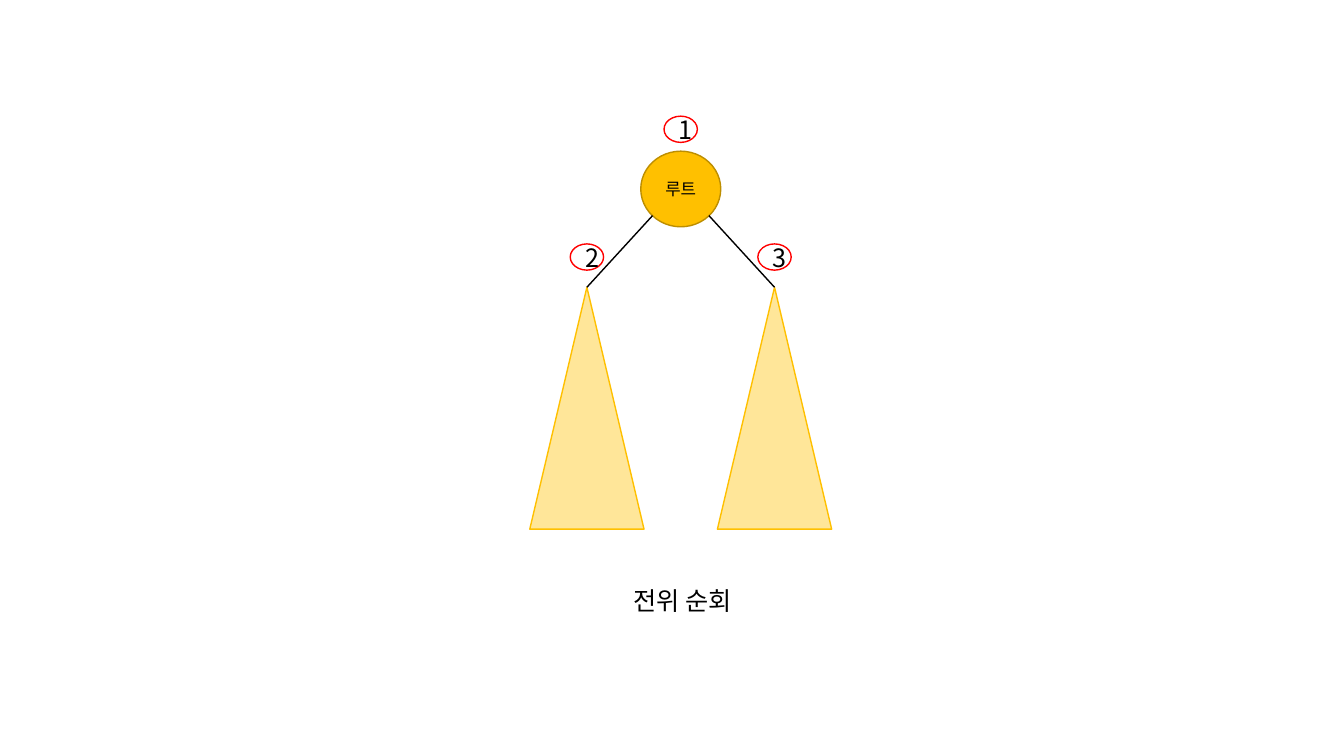
from typing import NamedTuple, Optional

from lxml import etree
from pptx import Presentation
from pptx import util as u
from pptx.dml.color import RGBColor
from pptx.enum import shapes, text
from pptx.oxml import ns

FONT = "Noto Sans CJK KR"
BLACK = RGBColor(0x00, 0x00, 0x00)
RED = RGBColor(0xFF, 0x00, 0x00)
GOLD = RGBColor(0xFF, 0xC0, 0x00)
BRONZE = RGBColor(0xBD, 0x8E, 0x00)
CREAM = RGBColor(0xFF, 0xE6, 0x99)

WIDE, HIGH = u.Inches(13.33), u.Inches(7.5)
CIRCLE = shapes.MSO_SHAPE.FLOWCHART_CONNECTOR
CONE = shapes.MSO_SHAPE.ISOSCELES_TRIANGLE

# The grid has 100 columns and 100 rows.
AXIS = 50.65    # column of the root
SPREAD = 6.98   # columns from the root to each subtree
APEX = 38       # row of the subtree tips
RIM = (2.1, 28.53)  # where a branch leaves the root: offset, row


class Node(NamedTuple):
    """A shape placed by its centre on the grid."""
    kind: shapes.MSO_SHAPE
    x: float
    y: float
    w: float
    h: float
    line: RGBColor
    fill: Optional[RGBColor] = None
    label: str = ""
    size: int = 18


def col(n: float) -> int:
    return round(WIDE * n / 100)


def row(n: float) -> int:
    return round(HIGH * n / 100)


def box(x: float, y: float, w: float, h: float) -> tuple[int, int, int, int]:
    """Turn a centre and size on the grid into left, top, width, height."""
    return col(x - w / 2), row(y - h / 2), col(w), row(h)


def write(frame, label: str, size: int) -> None:
    par = frame.paragraphs[0]
    par.text = label
    par.alignment = text.PP_ALIGN.CENTER
    font = par.font
    font.name, font.size = FONT, u.Pt(size)
    font.color.rgb = BLACK
    props = par.runs[0].font
    props.name = FONT
    latin = par.runs[0]._r.rPr.find(ns.qn("a:latin"))
    asian = etree.Element(ns.qn("a:ea"), typeface=FONT)
    latin.addnext(asian)


def draw(slide, node: Node) -> None:
    shape = slide.shapes.add_shape(
        node.kind, *box(node.x, node.y, node.w, node.h))
    shape.shadow.inherit = False
    shape.line.color.rgb = node.line
    shape.line.width = u.Pt(1)
    if node.fill is None:
        shape.fill.background()
    else:
        shape.fill.solid()
        shape.fill.fore_color.rgb = node.fill
    if node.label:
        shape.text_frame.vertical_anchor = text.MSO_ANCHOR.MIDDLE
        write(shape.text_frame, node.label, node.size)


def branch(slide, side: int) -> None:
    """Join a subtree tip to the root; side is -1 for left, 1 for right."""
    gap, top = RIM
    line = slide.shapes.add_connector(
        shapes.MSO_CONNECTOR.STRAIGHT,
        col(AXIS + side * SPREAD), row(APEX),
        col(AXIS + side * gap), row(top))
    line.line.color.rgb = BLACK
    line.line.width = u.Pt(1)
    etree.SubElement(line._element.spPr, ns.qn("a:effectLst"))


def cone(side: int) -> Node:
    return Node(CONE, AXIS + side * SPREAD, APEX + 16, 8.5, 32, GOLD, CREAM)


def badge(label: str, side: int, y: float) -> Node:
    return Node(CIRCLE, AXIS + side * SPREAD, y, 2.48, 3.47, RED, label=label)


def title(slide, label: str) -> None:
    area = slide.shapes.add_textbox(*box(50.8, 79.5, 28.4, 5.4))
    area.text_frame.word_wrap = True
    area.text_frame.auto_size = text.MSO_AUTO_SIZE.SHAPE_TO_FIT_TEXT
    write(area.text_frame, label, 18)


def main() -> None:
    deck = Presentation()
    deck.slide_width, deck.slide_height = WIDE, HIGH
    slide = deck.slides.add_slide(deck.slide_layouts[6])
    draw(slide, Node(CIRCLE, AXIS, 25, 5.95, 10, BRONZE, GOLD, "루트", 12))
    for side in (-1, 1):
        draw(slide, cone(side))
        branch(slide, side)
    title(slide, "전위 순회")
    for label, side, y in (("1", 0, 17.1), ("2", -1, 34), ("3", 1, 34)):
        draw(slide, badge(label, side, y))
    deck.save("out.pptx")


if __name__ == "__main__":
    main()
